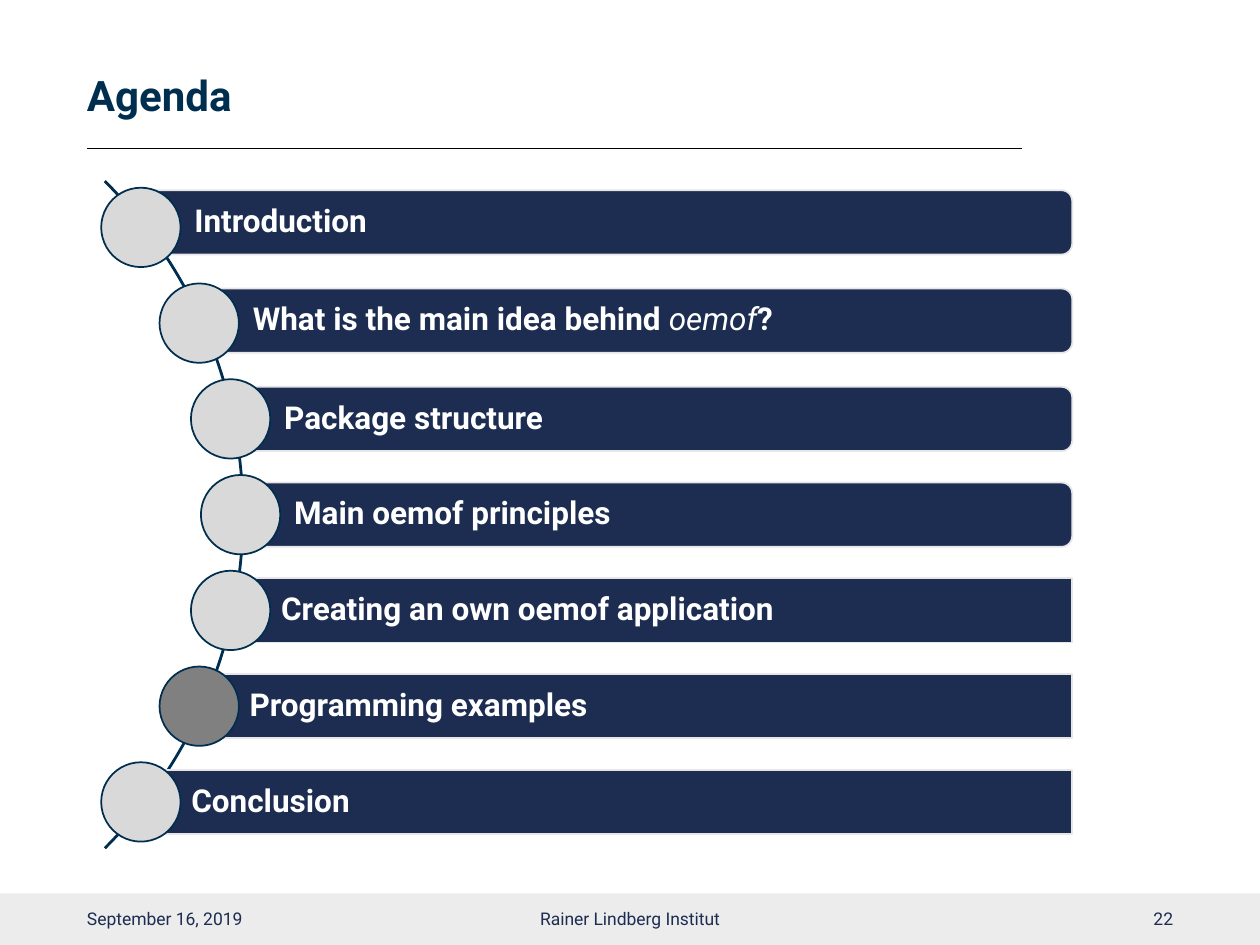
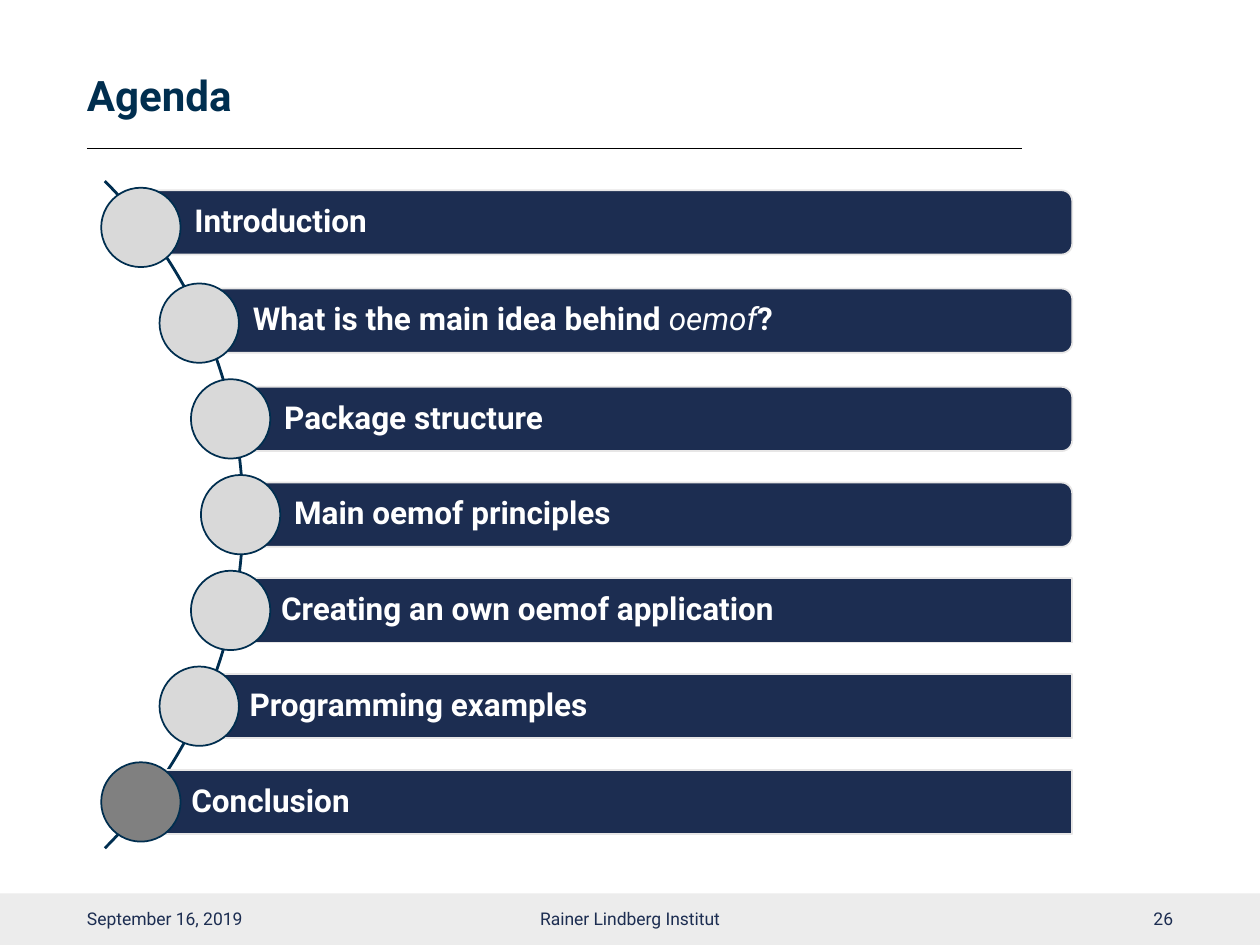
import math

import pptx
import pptx.dml.color
import pptx.enum.shapes
import pptx.enum.text
import pptx.util
from lxml import etree

Inches = pptx.util.Inches
Pt = pptx.util.Pt
KIND = pptx.enum.shapes.MSO_SHAPE
ALIGN = pptx.enum.text.PP_ALIGN

# Shared look
FONT = "Roboto"
NAVY, DEEP, ARC = "1C2D51", "002E4F", "002E50"
WHITE, BLACK = "FFFFFF", "000000"
BAND, EDGE, DOT, MARK = "ECECEC", "E7E6E6", "D9D9D9", "808080"
LEFT, RIGHT = 0.69, 9.31

# Label, bar shape and vertical shift of the bar; * surrounds italic words
TOPICS = [
    ("Introduction", KIND.ROUNDED_RECTANGLE, -0.04),
    ("What is the main idea behind *oemof*?", KIND.ROUNDED_RECTANGLE, -0.02),
    ("Package structure", KIND.ROUNDED_RECTANGLE, 0),
    ("Main oemof principles", KIND.ROUNDED_RECTANGLE, 0),
    ("Creating an own oemof application", KIND.RECTANGLE, 0),
    ("Programming examples", KIND.RECTANGLE, 0),
    ("Conclusion", KIND.RECTANGLE, 0),
]


def color(code):
    return pptx.dml.color.RGBColor.from_string(code)


def shape(slide, kind, box, fill, line=None):
    """Add a flat preset shape."""
    item = slide.shapes.add_shape(kind, *map(Inches, box))
    item.shadow.inherit = False
    item.fill.solid()
    item.fill.fore_color.rgb = color(fill)
    if line:
        item.line.color.rgb = color(line)
        item.line.width = Pt(1)
    else:
        item.line.fill.background()
    return item


def write(item, text, size=10, ink=NAVY, bold=False, align=ALIGN.LEFT,
          pad=(0, 0), lead=None):
    """Write one paragraph into a shape; pad is the left and right inset."""
    frame = item.text_frame
    frame.word_wrap = True
    frame.vertical_anchor = pptx.enum.text.MSO_ANCHOR.MIDDLE
    frame.margin_left, frame.margin_right = map(Inches, pad)
    frame.margin_top = frame.margin_bottom = Inches(0.05)
    para = frame.paragraphs[0]
    para.alignment = align
    if lead:
        para.line_spacing = lead
    for i, part in enumerate(text.split("*")):
        run = para.add_run()
        run.text = part
        slant = i % 2 == 1
        run.font.name = FONT
        run.font.size = Pt(size)
        run.font.color.rgb = color(ink)
        run.font.bold = bold and not slant
        run.font.italic = slant


def label(slide, box, text, **style):
    write(slide.shapes.add_textbox(*map(Inches, box)), text, **style)


def header(slide, box, text):
    """Title with the thin rule below it."""
    x, y, w, h = box
    label(slide, box, text, size=24, ink=DEEP, bold=True,
          pad=(0, 0.1), lead=0.9)
    base = Inches(y + h + 0.02)
    rule = slide.shapes.add_connector(
        pptx.enum.shapes.MSO_CONNECTOR.STRAIGHT,
        Inches(x), base, Inches(x + 7.42), base)
    rule.line.color.rgb = color(BLACK)
    rule.line.width = Pt(0.5)
    etree.SubElement(rule._element.spPr, pptx.oxml.ns.qn("a:effectLst"))


def footer(slide, box, number):
    """Grey band with date, institute and page number."""
    x, y, w, h = box
    shape(slide, KIND.RECTANGLE, box, BAND)
    side, mid, row = 2.25, 3.38, h - 0.01
    label(slide, (LEFT, y, side, row), "September 16, 2019", pad=(0, 0.1))
    label(slide, (x + (w - mid) / 2, y, mid, row),
          "Rainer Lindberg Institut", align=ALIGN.CENTER, pad=(0.1, 0.1))
    label(slide, (RIGHT - side, y, side, row), str(number), align=ALIGN.RIGHT)


def topics(slide, box, active):
    """Bars whose left ends and dots follow an arc through the box."""
    x, y, w, h = box
    dot, bar, step = 0.63, 0.51, 0.76
    mid = y + h / 2

    # Thin arc from -45 to 45 degrees
    size = 7.51
    arc = shape(slide, KIND.BLOCK_ARC,
                (x - 6.38, mid - size / 2, size, size), ARC)
    for i, value in enumerate((189, 27, 0.003)):
        arc.adjustments[i] = value

    # Dot centres lie on a slightly smaller circle
    hub, reach = x - 2.58, 3.68
    for i, (text, kind, shift) in enumerate(TOPICS):
        drop = (i - (len(TOPICS) - 1) / 2) * step
        cx = hub + math.sqrt(reach ** 2 - drop ** 2)
        cy = mid + drop
        item = shape(slide, kind,
                     (cx, cy - bar / 2 + shift, x + w - cx, bar), NAVY, EDGE)
        write(item, text, size=18, ink=WHITE, bold=True,
              pad=(0.4, 0.05), lead=0.9)
        shape(slide, KIND.OVAL, (cx - dot / 2, cy - dot / 2, dot, dot),
              MARK if i == active else DOT, DEEP)


def agenda(deck, number, active):
    slide = deck.slides.add_slide(deck.slide_layouts[6])
    footer(slide, (0, 7.09, 10, 0.41), number)
    header(slide, (LEFT, 0.4, 8.64, 0.76), "Agenda")
    topics(slide, (0.81, 1.49, 7.7, 5.19), active)


def main():
    deck = pptx.Presentation()
    deck.slide_width, deck.slide_height = Inches(10), Inches(7.5)
    for number, active in ((22, 5), (26, 6)):
        agenda(deck, number, active)
    deck.save("out.pptx")


if __name__ == "__main__":
    main()
